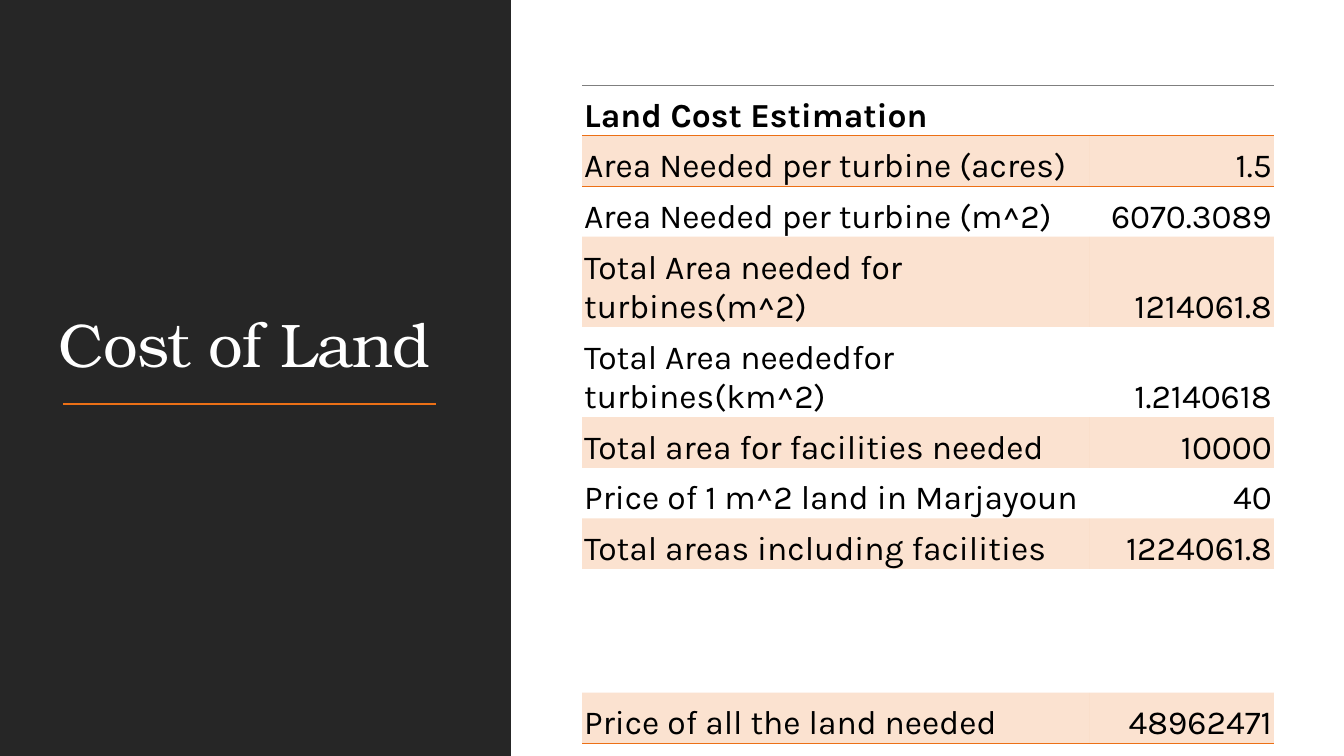
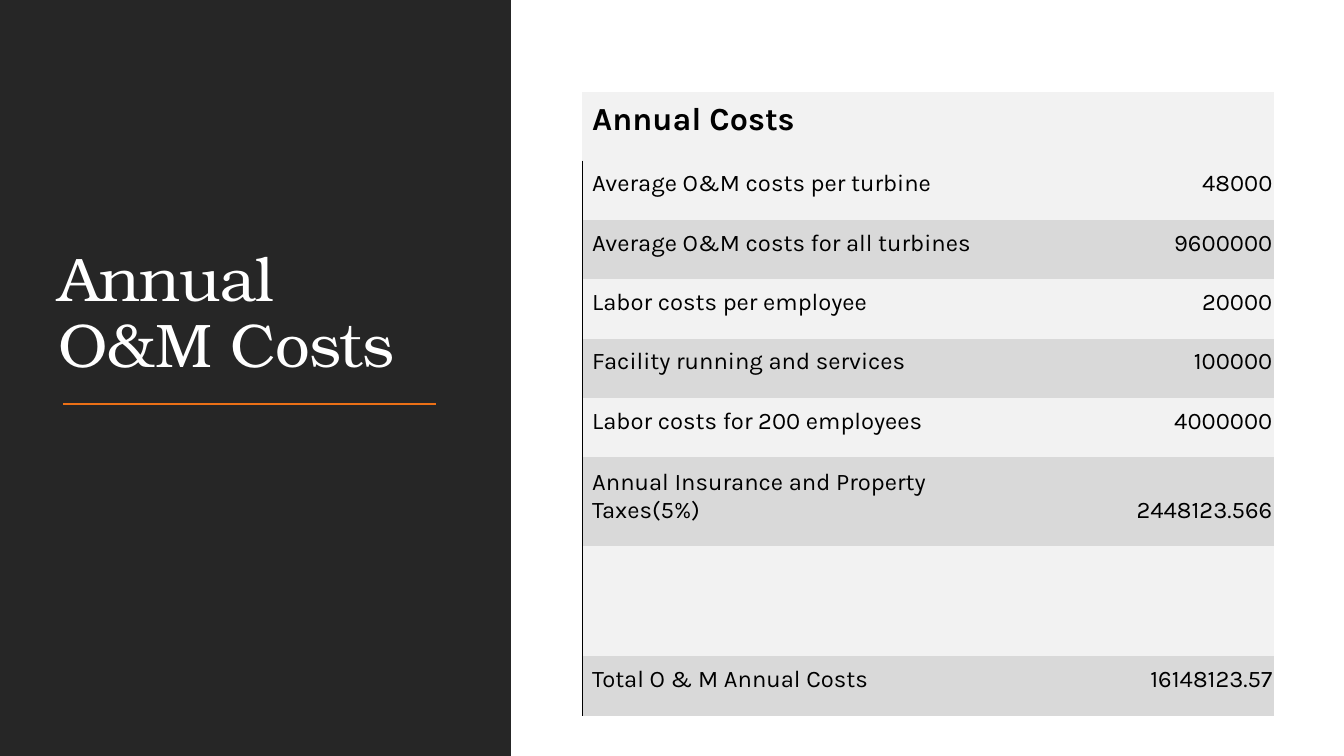
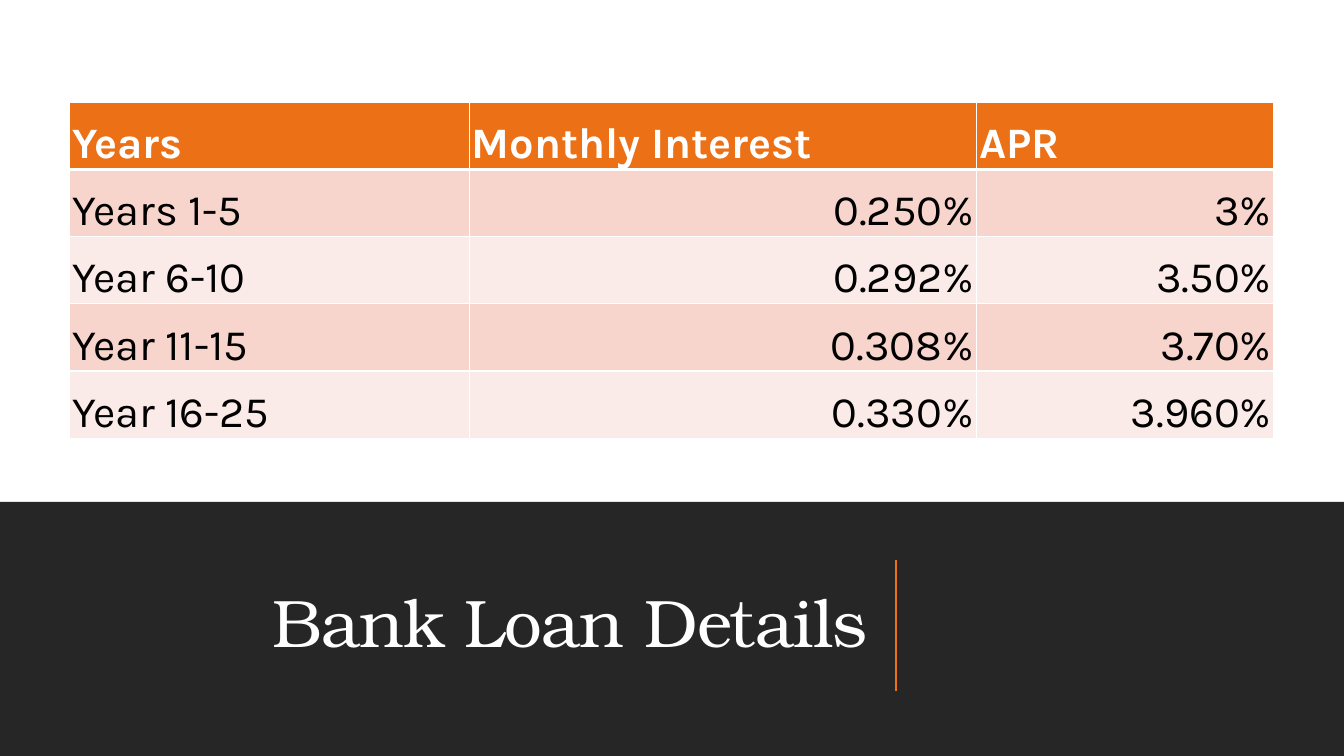
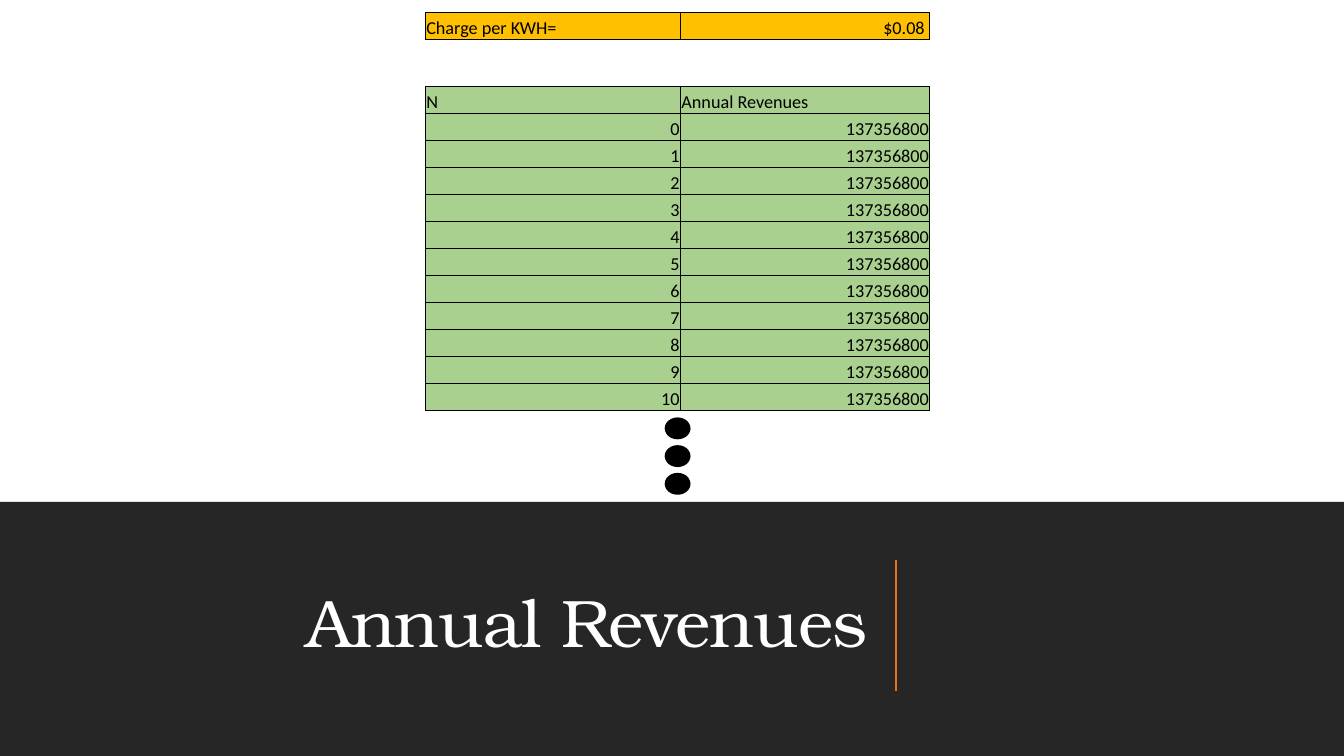
from dataclasses import dataclass

from lxml import etree
from pptx import Presentation
from pptx import util as u
from pptx.dml.color import RGBColor
from pptx.enum import shapes, text
from pptx.oxml import ns

Pt = u.Pt


@dataclass(frozen=True)
class Theme:
    dark: str = "262626"
    white: str = "FFFFFF"
    black: str = "000000"
    accent: str = "EC7016"
    rule_gray: str = "7F7F7F"
    light_gray: str = "F2F2F2"
    mid_gray: str = "D9D9D9"
    rose: str = "F8D5CC"
    pale_rose: str = "FBEBE8"
    gold: str = "FFC000"
    green: str = "A9D08E"
    title_font: str = "TeX Gyre Bonum"
    body_font: str = "Karla"
    sheet_font: str = "Calibri"
    side_title: float = 44
    bottom_title: float = 48
    land_size: float = 24
    costs_header: float = 23
    costs_size: float = 17
    loan_size: float = 31
    sheet_size: float = 13


THEME = Theme()
WIDTH, HEIGHT = 960, 540
NO_TABLE_STYLE = "{2D5ABB26-0587-4C30-8999-92F81FD0307C}"


@dataclass(frozen=True)
class TableStyle:
    size: float
    margins: tuple
    font: str = THEME.body_font
    header_size: float = 0
    header_bold: bool = True
    header_color: str = THEME.black


def set_font(paragraph, name, size, color, bold=False):
    font = paragraph.font
    font.name, font.size, font.bold = name, Pt(size), bold
    font.color.rgb = RGBColor.from_string(color)


def add_filled_shape(slide, kind, left, top, width, height, color):
    shape = slide.shapes.add_shape(kind, Pt(left), Pt(top), Pt(width), Pt(height))
    shape.shadow.inherit = False
    shape.fill.solid()
    shape.fill.fore_color.rgb = RGBColor.from_string(color)
    shape.line.fill.background()
    return shape


def add_accent_line(slide, start_x, start_y, end_x, end_y):
    line = slide.shapes.add_connector(
        shapes.MSO_CONNECTOR.STRAIGHT, Pt(start_x), Pt(start_y), Pt(end_x), Pt(end_y))
    line.line.color.rgb = RGBColor.from_string(THEME.accent)
    line.line.width = Pt(1.5)
    etree.SubElement(line._element.spPr, ns.qn("a:effectLst"))


def set_title(slide, title, left, top, width, height, size, anchor, align):
    shape = slide.shapes.title
    shape.left, shape.top, shape.width, shape.height = map(Pt, (left, top, width, height))
    frame = shape.text_frame
    frame.text = title
    frame.word_wrap = True
    frame.auto_size = text.MSO_AUTO_SIZE.NONE
    frame.vertical_anchor = anchor
    paragraph = frame.paragraphs[0]
    paragraph.alignment = align
    paragraph.line_spacing = 0.9
    set_font(paragraph, THEME.title_font, size, THEME.white)
    paragraph.font._rPr.set("spc", "-50")


def add_titled_slide(presentation):
    return presentation.slides.add_slide(presentation.slide_layouts[5])


def add_side_slide(presentation, title):
    slide = add_titled_slide(presentation)
    add_filled_shape(slide, shapes.MSO_SHAPE.RECTANGLE, 0, 0, 365, HEIGHT, THEME.dark)
    set_title(slide, title, 34.5, 50.4, 288, 225.4, THEME.side_title,
              text.MSO_ANCHOR.BOTTOM, text.PP_ALIGN.LEFT)
    slide.shapes._spTree.append(slide.shapes.title._element)
    add_accent_line(slide, 45.2, 288.7, 311.6, 288.7)
    return slide


def add_bottom_slide(presentation, title):
    slide = add_titled_slide(presentation)
    add_filled_shape(slide, shapes.MSO_SHAPE.RECTANGLE, 0, 358.5, WIDTH, HEIGHT - 358.5, THEME.dark)
    set_title(slide, title, 49.7, 386, 577.4, 121.7, THEME.bottom_title,
              text.MSO_ANCHOR.MIDDLE, text.PP_ALIGN.RIGHT)
    slide.shapes._spTree.append(slide.shapes.title._element)
    add_accent_line(slide, 640, 493.7, 640, 400.2)
    return slide


def set_borders(cell, borders):
    properties = cell._tc.get_or_add_tcPr()
    for side in "LRTB":
        if side in borders:
            color, width = borders[side]
            line = etree.SubElement(properties, ns.qn(f"a:ln{side}"), w=str(Pt(width)))
            fill = etree.SubElement(line, ns.qn("a:solidFill"))
            etree.SubElement(fill, ns.qn("a:srgbClr"), val=color)


def set_fill(cell, color, opacity):
    if color is None:
        cell.fill.background()
        return
    cell.fill.solid()
    cell.fill.fore_color.rgb = RGBColor.from_string(color)
    if opacity < 100:
        for element in cell._tc.tcPr.iter(ns.qn("a:srgbClr")):
            if element.getparent().getparent() is cell._tc.tcPr:
                etree.SubElement(element, ns.qn("a:alpha"), val=str(opacity * 1000))


def write_cell(cell, value, style, is_header):
    cell.vertical_anchor = text.MSO_ANCHOR.BOTTOM
    cell.margin_left, cell.margin_top, cell.margin_right, cell.margin_bottom = map(Pt, style.margins)
    if not value:
        return
    cell.text = value
    paragraph = cell.text_frame.paragraphs[0]
    is_number = value.lstrip("$")[0].isdigit()
    paragraph.alignment = text.PP_ALIGN.RIGHT if is_number else text.PP_ALIGN.LEFT
    if is_header:
        set_font(paragraph, style.font, style.header_size or style.size,
                 style.header_color, style.header_bold)
    else:
        set_font(paragraph, style.font, style.size, THEME.black)


def add_styled_table(slide, left, top, widths, heights, rows, style, fills, borders, opacity=100):
    frame = slide.shapes.add_table(len(rows), len(widths), Pt(left), Pt(top),
                                   Pt(sum(widths)), Pt(sum(heights)))
    table = frame.table
    table.first_row = table.horz_banding = False
    table._tbl.tblPr.find(ns.qn("a:tableStyleId")).text = NO_TABLE_STYLE
    for column, width in zip(table.columns, widths):
        column.width = Pt(width)
    for row_index, values in enumerate(rows):
        table.rows[row_index].height = Pt(heights[row_index])
        for column_index, value in enumerate(values):
            cell = table.cell(row_index, column_index)
            write_cell(cell, value, style, row_index == 0)
            set_borders(cell, borders(row_index, column_index))
            set_fill(cell, fills[row_index], opacity)


def banded(header, odd, even, count):
    return [header] + [odd if index % 2 else even for index in range(1, count)]


def build_land_cost(presentation):
    slide = add_side_slide(presentation, "Cost of Land")
    rows = [
        ("Land Cost Estimation", ""),
        ("Area Needed per turbine (acres)", "1.5"),
        ("Area Needed per turbine (m^2)", "6070.3089"),
        ("Total Area needed for turbines(m^2)", "1214061.8"),
        ("Total Area neededfor turbines(km^2)", "1.2140618"),
        ("Total area for facilities needed", "10000"),
        ("Price of 1 m^2 land in Marjayoun", "40"),
        ("Total areas including facilities", "1224061.8"),
        ("", ""),
        ("Price of all the land needed", "48962471"),
    ]
    accent_rule = (THEME.accent, 1)

    def borders(row, column):
        return {0: {"T": (THEME.rule_gray, 0.75), "B": accent_rule},
                1: {"T": accent_rule},
                len(rows) - 1: {"B": accent_rule}}.get(row, {})

    heights = [36.1] * 3 + [64.5] * 2 + [36.1] * 3 + [88.5, 36.1]
    add_styled_table(slide, 415.8, 60.8, (362.2, 131.9), heights, rows,
                     TableStyle(THEME.land_size, (1.5, 1.5, 1.5, 0)),
                     banded(None, THEME.accent, None, len(rows)), borders, opacity=20)


def build_annual_costs(presentation):
    slide = add_side_slide(presentation, "Annual O&M Costs")
    rows = [
        ("Annual Costs", ""),
        ("Average O&M costs per turbine", "48000"),
        ("Average O&M costs for all turbines", "9600000"),
        ("Labor costs per employee", "20000"),
        ("Facility running and services", "100000"),
        ("Labor costs for 200 employees", "4000000"),
        ("Annual Insurance and Property Taxes(5%)", "2448123.566"),
        ("", ""),
        ("Total O & M Annual Costs", "16148123.57"),
    ]

    def borders(row, column):
        return {"L": (THEME.black, 1)} if row and column == 0 else {}

    heights = [49] + [42.4] * 5 + [63.5, 78.6, 42.4]
    add_styled_table(slide, 415.8, 65.8, (294.3, 199.8), heights, rows,
                     TableStyle(THEME.costs_size, (7.2, 2, 1, 15.8), header_size=THEME.costs_header),
                     banded(THEME.light_gray, THEME.light_gray, THEME.mid_gray, len(rows)), borders)


def build_bank_loan(presentation):
    slide = add_bottom_slide(presentation, "Bank Loan Details")
    rows = [
        ("Years", "Monthly Interest", "APR"),
        ("Years 1-5", "0.250%", "3%"),
        ("Year 6-10", "0.292%", "3.50%"),
        ("Year 11-15", "0.308%", "3.70%"),
        ("Year 16-25", "0.330%", "3.960%"),
    ]

    def borders(row, column):
        sides = dict.fromkeys("LRTB", (THEME.white, 1))
        if row == 0:
            sides["B"] = (THEME.white, 3)
        return sides

    add_styled_table(slide, 49.7, 73, (285.4, 362.4, 212.6), [48] * len(rows), rows,
                     TableStyle(THEME.loan_size, (2, 2, 2, 0), header_color=THEME.white),
                     banded(THEME.accent, THEME.rose, THEME.pale_rose, len(rows)), borders)


def build_annual_revenues(presentation):
    slide = add_bottom_slide(presentation, "Annual Revenues")
    rows = [("Charge per KWH=", "$0.08 "), ("", ""), ("N", "Annual Revenues")]
    rows += [(str(year), "137356800") for year in range(11)]

    def borders(row, column):
        return dict.fromkeys("TB" if row == 1 else "LRTB", (THEME.black, 0.5))

    add_styled_table(slide, 303.8, 9, (182.3, 178), [19.3, 33.5] + [19.3] * 12, rows,
                     TableStyle(THEME.sheet_size, (0.7, 0.7, 0.7, 0), THEME.sheet_font,
                                header_bold=False),
                     [THEME.gold, None] + [THEME.green] * 12, borders)
    for index in range(3):
        dot = add_filled_shape(slide, shapes.MSO_SHAPE.OVAL, 475.4, 298.8 + 19.8 * index,
                               17.2, 14.4, THEME.black)
        dot.line.color.rgb = RGBColor.from_string(THEME.black)
        dot.line.width = Pt(1.25)


def main():
    presentation = Presentation()
    presentation.slide_width, presentation.slide_height = Pt(WIDTH), Pt(HEIGHT)
    build_land_cost(presentation)
    build_annual_costs(presentation)
    build_bank_loan(presentation)
    build_annual_revenues(presentation)
    presentation.save("out.pptx")


if __name__ == "__main__":
    main()
